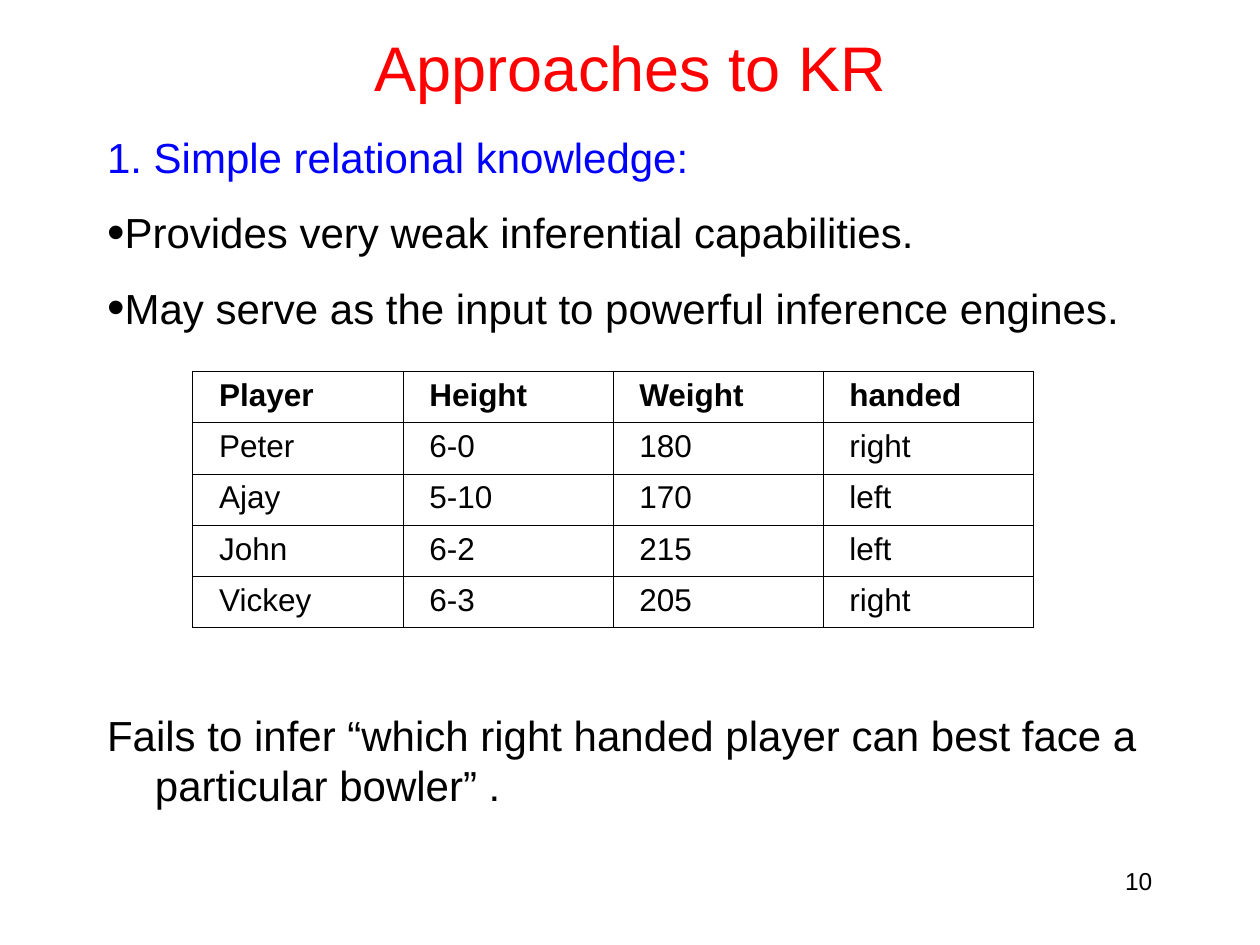
from lxml import etree
from pptx import Presentation
from pptx.dml.color import RGBColor
from pptx.enum.text import MSO_ANCHOR, MSO_AUTO_SIZE, PP_ALIGN
from pptx.oxml.ns import qn
from pptx.util import Inches, Pt

TOP, NO_FIT = MSO_ANCHOR.TOP, MSO_AUTO_SIZE.NONE
LEFT, CENTER = PP_ALIGN.LEFT, PP_ALIGN.CENTER
FONT = "Arial"
COLORS = {"title": "FF0000", "heading": "0000FF", "text": "000000"}

TITLE = "Approaches to KR"
HEADING = "1. Simple relational knowledge:"
POINTS = [
    "Provides very weak inferential capabilities.",
    "May serve as the input to powerful inference engines.",
]
PLAYERS = [
    ("Player", "Height", "Weight", "handed"),
    ("Peter", "6-0", "180", "right"),
    ("Ajay", "5-10", "170", "left"),
    ("John", "6-2", "215", "left"),
    ("Vickey", "6-3", "205", "right"),
]
CONCLUSION = "Fails to infer “which right handed player can best face a particular bowler” ."
PAGE = "10"


def sub(parent, tag, **attrs):
    return etree.SubElement(parent, qn(tag), attrs)


def place(sp, left, top, width, height, inset=0.01):
    sp.left, sp.top = Inches(left), Inches(top)
    sp.width, sp.height = Inches(width), Inches(height)
    tf = sp.text_frame
    tf.word_wrap, tf.auto_size, tf.vertical_anchor = True, NO_FIT, TOP
    tf.margin_left = tf.margin_right = tf.margin_bottom = 0
    tf.margin_top = Inches(inset)
    return tf


def write(p, text, size, color="text", bold=False, align=LEFT, before=0):
    p.text = text
    p.alignment, p.space_before = align, Pt(before)
    font = p.runs[0].font
    font.name, font.size, font.bold = FONT, Pt(size), bold
    font.color.rgb = RGBColor.from_string(COLORS[color])


def indent(p, left, first=0):
    pPr = p._p.get_or_add_pPr()
    pPr.set("marL", str(Inches(left)))
    pPr.set("indent", str(Inches(first)))
    return pPr


def add_bullet(pPr):
    color = sub(pPr, "a:buClr")
    sub(color, "a:srgbClr", val=COLORS["text"])
    sub(pPr, "a:buSzPct", val="119000")
    sub(pPr, "a:buFont", typeface=FONT)
    sub(pPr, "a:buChar", char="•")


def set_borders(cell):
    tcPr = cell._tc.get_or_add_tcPr()
    for i, side in enumerate(("a:lnL", "a:lnR", "a:lnT", "a:lnB")):
        ln = etree.Element(qn(side), {"w": str(Pt(0.45))})
        sub(sub(ln, "a:solidFill"), "a:srgbClr", val=COLORS["text"])
        tcPr.insert(i, ln)


def add_players(slide):
    n_rows, n_cols = len(PLAYERS), len(PLAYERS[0])
    table = slide.shapes.add_table(n_rows, n_cols, Inches(1.53), Inches(2.95),
                                   Inches(6.67), Inches(2.03)).table
    table.first_row = table.horz_banding = False
    for r, row in enumerate(PLAYERS):
        for c, text in enumerate(row):
            cell = table.cell(r, c)
            cell.fill.background()
            set_borders(cell)
            p = cell.text_frame.paragraphs[0]
            write(p, text, 18, bold=r == 0)
            indent(p, 0.11)


def main():
    prs = Presentation()
    prs.slide_width, prs.slide_height = Inches(10), Inches(7.5)
    slide = prs.slides.add_slide(prs.slide_layouts[1])

    tf = place(slide.shapes.title, 2.96, 0.22, 4.09, 0.63)
    write(tf.paragraphs[0], TITLE, 36, "title", align=CENTER)

    tf = place(slide.placeholders[1], 0.84, 0.9, 8.29, 1.72, inset=0.14)
    p = tf.paragraphs[0]
    write(p, HEADING, 24, "heading")
    sub(indent(p, 0.01), "a:buNone")
    for text in POINTS:
        p = tf.add_paragraph()
        write(p, text, 24, before=14.4)
        add_bullet(indent(p, 0.01))

    add_players(slide)

    notes = [
        (CONCLUSION, 24, (0.84, 5.62, 8.2, 0.81), (0.39, -0.38)),
        (PAGE, 14, (8.92, 6.86, 0.24, 0.25), (0.01, 0)),
    ]
    for text, size, box, margins in notes:
        sp = slide.shapes.add_textbox(0, 0, 0, 0)
        p = place(sp, *box).paragraphs[0]
        write(p, text, size)
        indent(p, *margins)

    prs.save("out.pptx")


if __name__ == "__main__":
    main()
